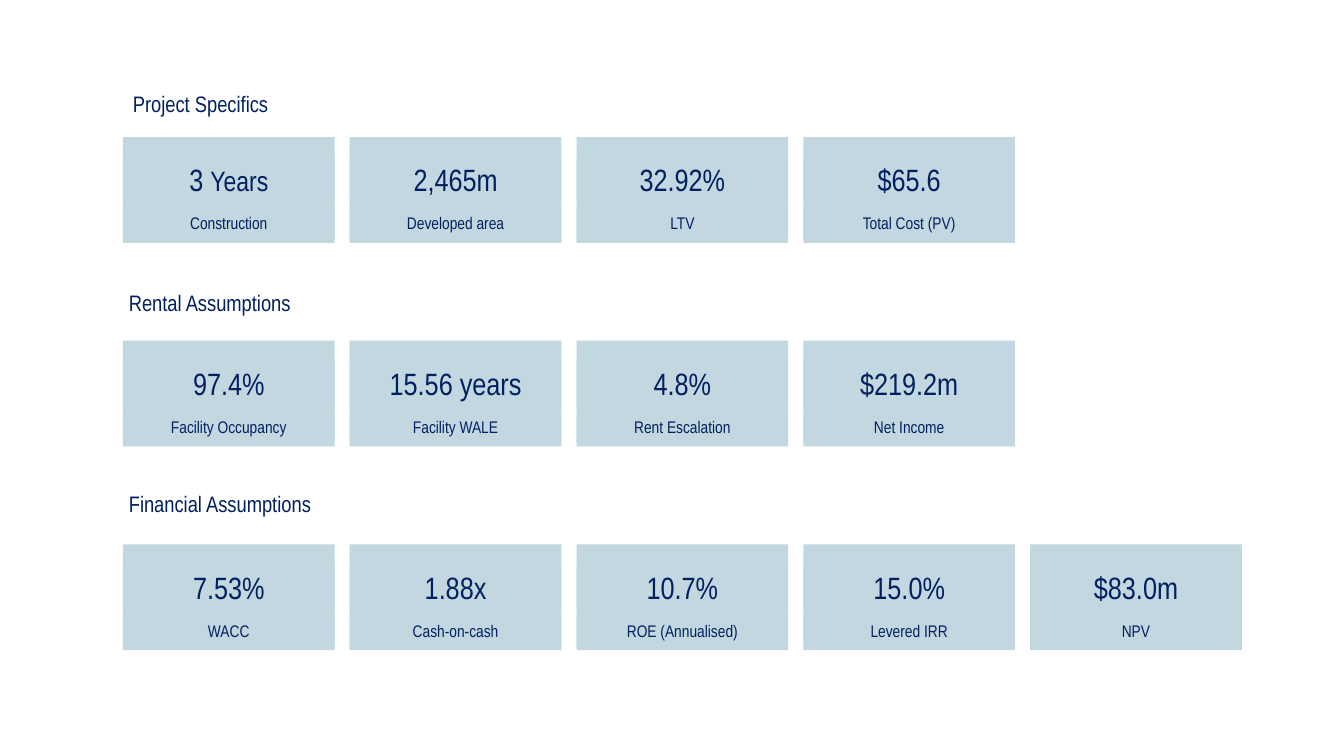
from pptx import Presentation
from pptx.dml.color import RGBColor
from pptx.enum.shapes import MSO_SHAPE
from pptx.enum.text import MSO_ANCHOR, MSO_AUTO_SIZE, PP_ALIGN
from pptx.util import Pt

LEFT, COLUMN_PITCH = 87.84, 162
FIRST_ROW, ROW_PITCH = 97.92, 145.44
CARD_WIDTH, CARD_HEIGHT = 151.2, 75.6

# Heading, its left and top, then the cards as (value runs, label)
SECTIONS = [
    ("Project Specifics", 87.84, 61.2, [
        ([("3 ", 22), ("Years", 20)], "Construction"),
        ([("2,465m", 22)], "Developed area"),
        ([("32.92%", 22)], "LTV"),
        ([("$65.6", 22)], "Total Cost (PV)"),
    ]),
    ("Rental Assumptions", 84.96, 203.04, [
        ([("97.4%", 22)], "Facility Occupancy"),
        ([("15.56 years", 22)], "Facility WALE"),
        ([("4.8%", 22)], "Rent Escalation"),
        ([("$219.2m", 22)], "Net Income"),
    ]),
    ("Financial Assumptions", 84.96, 346.32, [
        ([("7.53%", 22)], "WACC"),
        ([("1.88x", 22)], "Cash-on-cash"),
        ([("10.7%", 22)], "ROE (Annualised)"),
        ([("15.0%", 22)], "Levered IRR"),
        ([("$83.0m", 22)], "NPV"),
    ]),
]


def color(hex_string):
    return RGBColor.from_string(hex_string)


def write(frame, text, size=12, font="Arial Narrow", ink="002060",
          align=PP_ALIGN.CENTER):
    """Append text to the first paragraph of the frame as one formatted run."""
    frame.word_wrap = True
    frame.auto_size = MSO_AUTO_SIZE.SHAPE_TO_FIT_TEXT
    frame.vertical_anchor = MSO_ANCHOR.TOP
    paragraph = frame.paragraphs[0]
    paragraph.alignment = align
    run = paragraph.add_run()
    run.text = text
    run.font.name = font
    run.font.size = Pt(size)
    run.font.color.rgb = color(ink)


class Dashboard:
    card_fill = "C2D7E0"

    def __init__(self, slide):
        self.slide = slide

    def heading(self, text, left, top):
        box = self.slide.shapes.add_textbox(Pt(left), Pt(top), Pt(326.88), Pt(26.64))
        write(box.text_frame, text, size=16, align=PP_ALIGN.LEFT)

    def panel(self, shapes, left, top, height):
        panel = shapes.add_shape(MSO_SHAPE.RECTANGLE, Pt(left), Pt(top),
                                 Pt(CARD_WIDTH), Pt(height))
        panel.shadow.inherit = False
        panel.fill.solid()
        panel.fill.fore_color.rgb = color(self.card_fill)
        panel.line.fill.background()
        return panel

    def card(self, value_runs, label, left, top):
        """Group a background with a large value above a small label."""
        shapes = self.slide.shapes.add_group_shape().shapes
        self.panel(shapes, left, top, CARD_HEIGHT)
        value_panel = self.panel(shapes, left, top + 13.68, 33.84)
        for text, size in value_runs:
            write(value_panel.text_frame, text, size=size)
        label_panel = self.panel(shapes, left, top + 50.75, 21.6)
        write(label_panel.text_frame, label)


def main():
    presentation = Presentation()
    presentation.slide_width, presentation.slide_height = Pt(960), Pt(540)
    dashboard = Dashboard(presentation.slides.add_slide(presentation.slide_layouts[6]))
    for row, (title, title_left, title_top, cards) in enumerate(SECTIONS):
        for column, (value_runs, label) in enumerate(cards):
            dashboard.card(value_runs, label, LEFT + column * COLUMN_PITCH,
                           FIRST_ROW + row * ROW_PITCH)
        dashboard.heading(title, title_left, title_top)
    presentation.save("out.pptx")


if __name__ == "__main__":
    main()
